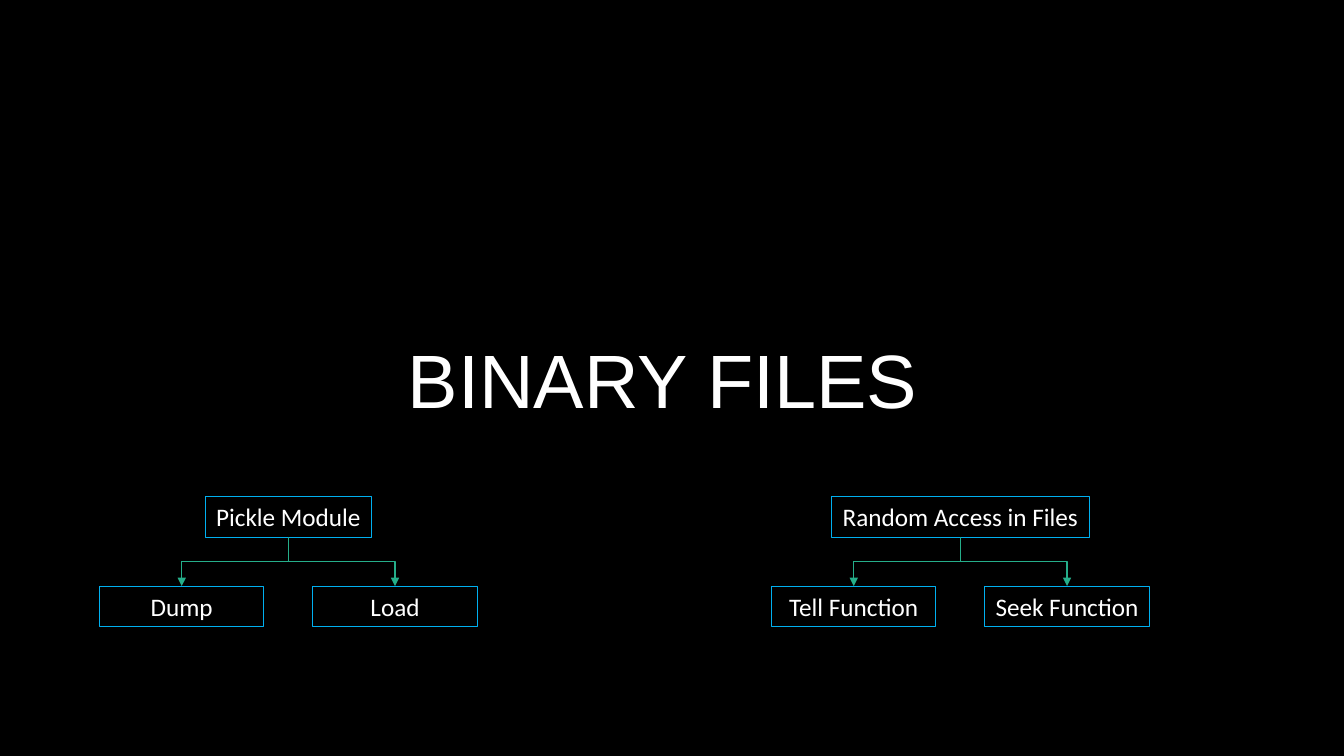
import pptx
import pptx.util
import pptx.dml.color
import pptx.enum.dml
import pptx.enum.shapes
import pptx.enum.text
import pptx.oxml.ns
import lxml.etree
from dataclasses import dataclass

Pt = pptx.util.Pt

# Content: each tree has a centre, a root label, a root width and two children
TITLE = "BINARY FILES"
TREES = [
    {"centre": 206, "root": "Pickle Module", "width": 118.8, "children": ["Dump", "Load"]},
    {"centre": 686, "root": "Random Access in Files", "width": 184.6,
     "children": ["Tell Function", "Seek Function"]},
]


@dataclass(frozen=True)
class Theme:
    background: str = "000000"
    text: str = "FFFFFF"
    border: str = "00B0F0"
    arrow: str = "25AE8A"
    title_font: str = "Arial"
    label_font: str = "Calibri"
    title_size: float = 54
    label_size: float = 18
    border_width: float = 0.75
    arrow_width: float = 1


THEME = Theme()

# Layout in points
SLIDE_WIDTH, SLIDE_HEIGHT = 960, 540
TITLE_BOX = (252.7, 234, 441.4, 72.7)
ROOT_TOP, CHILD_TOP = 354.5, 418.6
BOX_HEIGHT, CHILD_WIDTH = 29.1, 117.5
CHILD_OFFSET = 76.2


def colour(value):
    return pptx.dml.color.RGBColor.from_string(value)


def write_text(shape, text, font_name, size):
    frame = shape.text_frame
    frame.word_wrap = False
    frame.auto_size = pptx.enum.text.MSO_AUTO_SIZE.NONE
    frame.vertical_anchor = pptx.enum.text.MSO_ANCHOR.MIDDLE
    paragraph = frame.paragraphs[0]
    paragraph.alignment = pptx.enum.text.PP_ALIGN.CENTER
    run = paragraph.add_run()
    run.text = text
    run.font.name = font_name
    run.font.size = Pt(size)
    run.font.color.rgb = colour(THEME.text)


def add_box(shapes, text, centre, top, width):
    box = shapes.add_shape(pptx.enum.shapes.MSO_SHAPE.RECTANGLE, Pt(centre - width / 2),
                           Pt(top), Pt(width), Pt(BOX_HEIGHT))
    box.shadow.inherit = False
    box.fill.background()
    box.line.color.rgb = colour(THEME.border)
    box.line.width = Pt(THEME.border_width)
    write_text(box, text, THEME.label_font, THEME.label_size)
    return box


def add_arrow(shapes, root, child, start, end):
    top, bottom = ROOT_TOP + BOX_HEIGHT, CHILD_TOP
    arrow = shapes.add_connector(pptx.enum.shapes.MSO_CONNECTOR.ELBOW,
                                 Pt(start), Pt(top), Pt(end), Pt(bottom))
    arrow.begin_connect(root, 2)
    arrow.end_connect(child, 0)

    # Turn the elbow by a quarter so that it leaves the root vertically
    length, breadth = bottom - top, abs(end - start)
    arrow.left = Pt((start + end - length) / 2)
    arrow.top = Pt((top + bottom - breadth) / 2)
    arrow.width, arrow.height = Pt(length), Pt(breadth)
    properties = arrow._element.spPr
    transform = properties.find(pptx.oxml.ns.qn("a:xfrm"))
    transform.set("rot", "5400000" if end < start else "16200000")
    transform.set("flipH", "0" if end < start else "1")

    # Line, arrowhead and no shadow
    arrow.line.color.rgb = colour(THEME.arrow)
    arrow.line.width = Pt(THEME.arrow_width)
    line = arrow.line._get_or_add_ln()
    lxml.etree.SubElement(line, pptx.oxml.ns.qn("a:tailEnd"), type="triangle")
    lxml.etree.SubElement(properties, pptx.oxml.ns.qn("a:effectLst"))


def add_tree(slide, tree):
    shapes = slide.shapes.add_group_shape().shapes
    centre = tree["centre"]
    root = add_box(shapes, tree["root"], centre, ROOT_TOP, tree["width"])
    for side, label in zip((-1, 1), tree["children"]):
        child_centre = centre + side * CHILD_OFFSET
        child = add_box(shapes, label, child_centre, CHILD_TOP, CHILD_WIDTH)
        add_arrow(shapes, root, child, centre, child_centre)


def main():
    presentation = pptx.Presentation()
    presentation.slide_width = Pt(SLIDE_WIDTH)
    presentation.slide_height = Pt(SLIDE_HEIGHT)
    slide = presentation.slides.add_slide(presentation.slide_layouts.get_by_name("Title Only"))
    slide.background.fill.solid()
    slide.background.fill.fore_color.rgb = colour(THEME.background)

    # Title
    title = slide.shapes.title
    title.left, title.top, title.width, title.height = map(Pt, TITLE_BOX)
    write_text(title, TITLE, THEME.title_font, THEME.title_size)

    # Trees
    for tree in TREES:
        add_tree(slide, tree)

    presentation.save("out.pptx")


if __name__ == "__main__":
    main()
